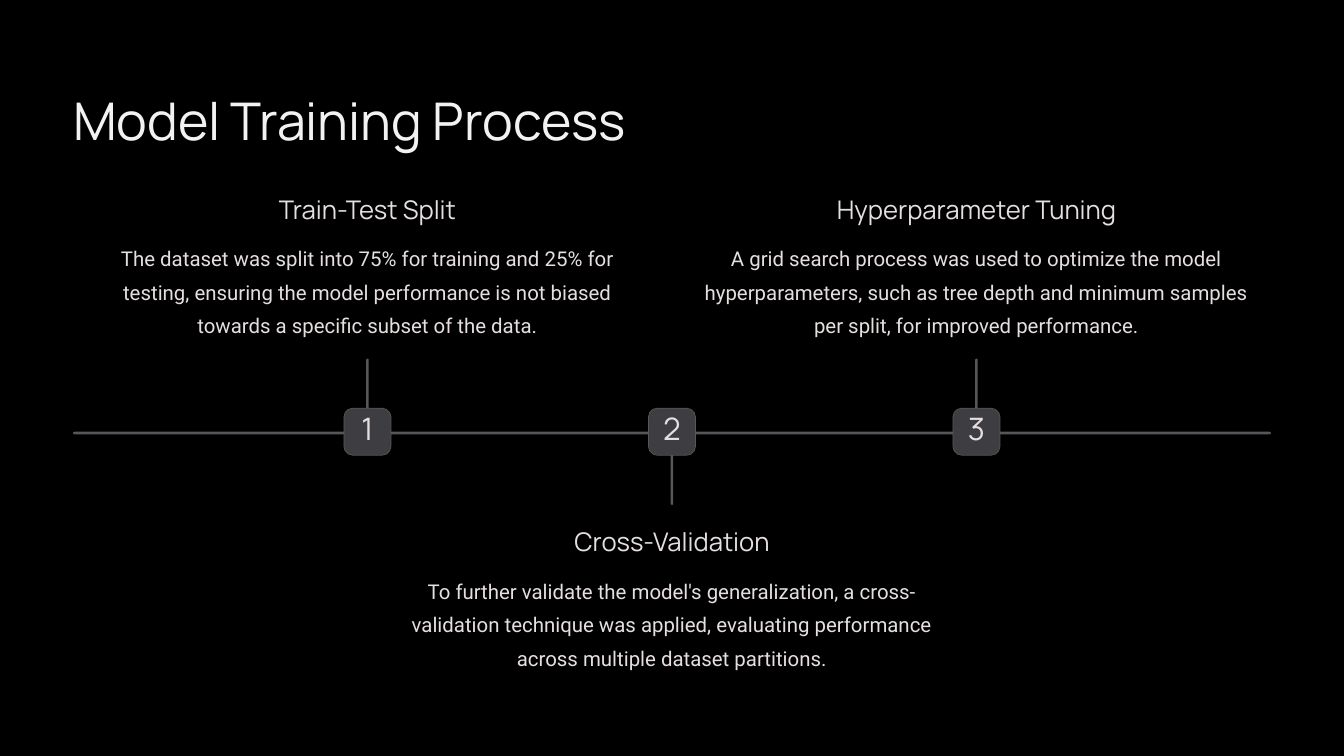
from pptx import Presentation
from pptx.dml.color import RGBColor
from pptx.enum import shapes, text
from pptx.util import Inches, Pt

TITLE = "Model Training Process"
STEPS = [  # heading, description, side of the timeline
    ("Train-Test Split",
     "The dataset was split into 75% for training and 25% for testing, ensuring "
     "the model performance is not biased towards a specific subset of the data.",
     "above"),
    ("Cross-Validation",
     "To further validate the model's generalization, a cross-validation technique "
     "was applied, evaluating performance across multiple dataset partitions.",
     "below"),
    ("Hyperparameter Tuning",
     "A grid search process was used to optimize the model hyperparameters, such as "
     "tree depth and minimum samples per split, for improved performance.",
     "above"),
]
THEME = {
    "background": "000000", "title": "F2F2F3", "text": "E5E0DF",
    "line": "56565B", "badge": "3D3D42",
    # font, size, line spacing
    "title_type": ("Manrope", 44.5, 55.5),
    "number_type": ("Manrope", 26.5, 26.5),
    "heading_type": ("Manrope", 22, 27.5),
    "body_type": ("Roboto", 17.5, 28.5),
}

SLIDE_W, SLIDE_H = 16, 9
MARGIN = 0.87
AXIS_Y, BAR, STEM = 5.14, 0.03, 0.87
BADGE = 0.56
STEP_GAP = 3.625
BODY_W = 6.51
BLOCK_TOP = {"above": 2.29, "below": 6.25}
STEM_TOP = {"above": AXIS_Y - STEM, "below": AXIS_Y}


def color(name):
    return RGBColor.from_string(THEME[name])


def add_text(slide, content, x, y, w, h, style, fill="text", wrap=False,
             align=text.PP_ALIGN.CENTER):
    font, size, spacing = THEME[style]
    tf = slide.shapes.add_textbox(Inches(x), Inches(y), Inches(w), Inches(h)).text_frame
    tf.margin_left = tf.margin_top = tf.margin_right = tf.margin_bottom = 0
    tf.word_wrap = wrap
    p = tf.paragraphs[0]
    p.alignment = align
    p.line_spacing = Pt(spacing)
    r = p.add_run()
    r.text = content
    r.font.name, r.font.size = font, Pt(size)
    r.font.color.rgb = color(fill)


def add_rounded(slide, x, y, w, h, fill, radius=0.5, outline=None):
    sp = slide.shapes.add_shape(shapes.MSO_SHAPE.ROUNDED_RECTANGLE,
                                Inches(x), Inches(y), Inches(w), Inches(h))
    sp.adjustments[0] = radius
    sp.shadow.inherit = False
    sp.fill.solid()
    sp.fill.fore_color.rgb = color(fill)
    if outline:
        sp.line.color.rgb = color(outline)
        sp.line.width = Pt(0.6)
    else:
        sp.line.fill.background()


def add_step(slide, number, center, heading, body, side):
    add_rounded(slide, center - BAR / 2, STEM_TOP[side], BAR, STEM, "line")
    add_rounded(slide, center - BADGE / 2, AXIS_Y - BADGE / 2, BADGE, BADGE,
                "badge", radius=0.187, outline="line")
    add_text(slide, str(number), center - 0.11, 4.95, 0.22, 0.37, "number_type")
    top, left = BLOCK_TOP[side], center - BODY_W / 2
    add_text(slide, heading, left, top, BODY_W, 0.39, "heading_type")
    add_text(slide, body, left, top + 0.54, BODY_W, 1.19, "body_type", wrap=True)


def main():
    prs = Presentation()
    prs.slide_width, prs.slide_height = Inches(SLIDE_W), Inches(SLIDE_H)
    slide = prs.slides.add_slide(prs.slide_layouts[6])
    slide.background.fill.solid()
    slide.background.fill.fore_color.rgb = color("background")

    add_text(slide, TITLE, MARGIN, 1.02, 7.03, 0.78, "title_type", fill="title",
             align=text.PP_ALIGN.LEFT)
    add_rounded(slide, MARGIN, AXIS_Y, SLIDE_W - 2 * MARGIN, BAR, "line")
    first = SLIDE_W / 2 - STEP_GAP * (len(STEPS) - 1) / 2
    for i, step in enumerate(STEPS):
        add_step(slide, i + 1, first + i * STEP_GAP, *step)
    prs.save("out.pptx")


if __name__ == "__main__":
    main()
